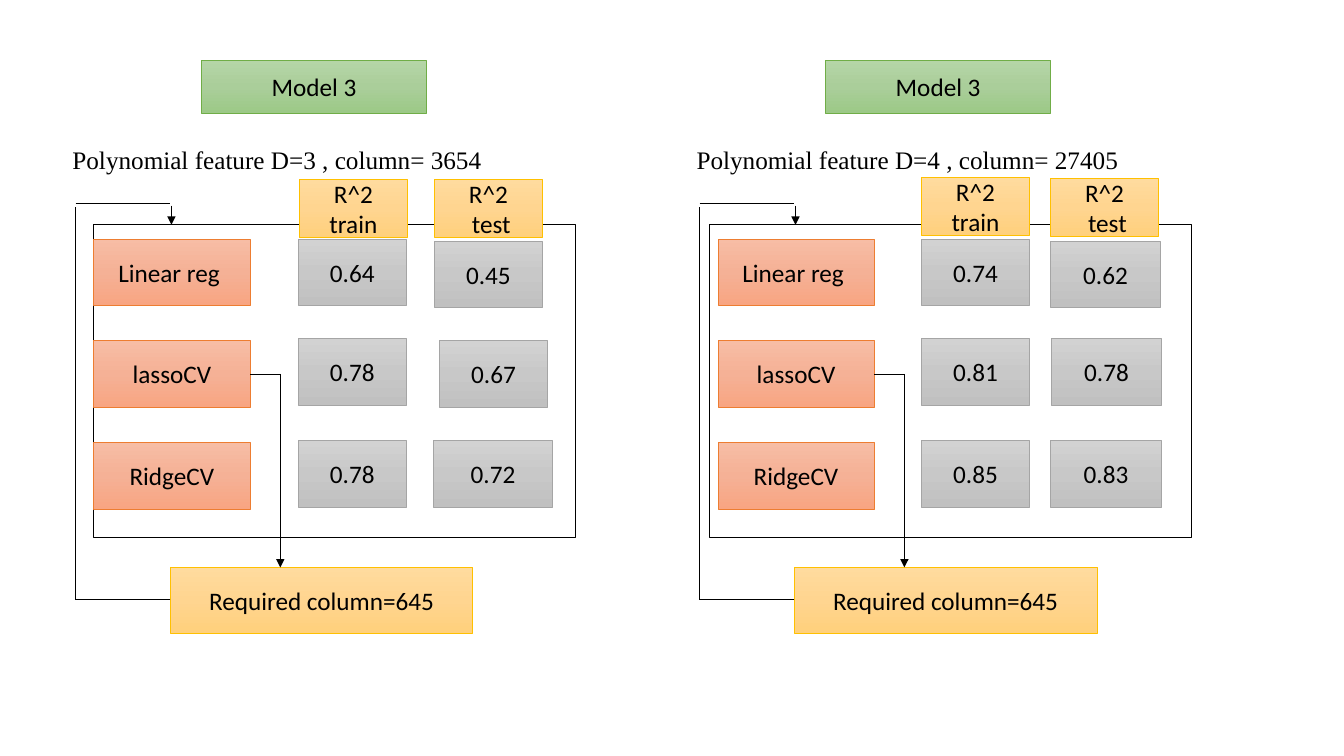
from copy import deepcopy
from dataclasses import dataclass

from lxml import etree
from pptx import Presentation
from pptx.dml.color import RGBColor
from pptx.enum.shapes import MSO_CONNECTOR, MSO_SHAPE
from pptx.enum.text import MSO_ANCHOR, MSO_AUTO_SIZE, PP_ALIGN
from pptx.oxml.ns import qn
from pptx.util import Inches, Pt

RECT = MSO_SHAPE.RECTANGLE
STRAIGHT = MSO_CONNECTOR.STRAIGHT
CENTER, LEFT = PP_ALIGN.CENTER, PP_ALIGN.LEFT
MIDDLE, TOP = MSO_ANCHOR.MIDDLE, MSO_ANCHOR.TOP
GROW = MSO_AUTO_SIZE.SHAPE_TO_FIT_TEXT

WIDE, HIGH = Inches(13.33), Inches(7.5)
COLS, ROWS = 133.3, 75
STEP = 61.9  # columns between the two panels


@dataclass(frozen=True)
class Theme:
    ink: str = "000000"
    # top, middle and bottom of the gradient, then the outline
    green: tuple = ("B5D5A7", "AACE9A", "9CC987", "70AD47")
    orange: tuple = ("F7BDA5", "F5B196", "F8A582", "ED7D31")
    gray: tuple = ("D2D2D2", "C8C8C8", "C0C0C0", "A5A5A5")
    gold: tuple = ("FFDB9E", "FFD590", "FFD07C", "FFC000")
    sans: str = "Calibri"
    serif: str = "Times New Roman"
    size: float = 18
    thin: float = 0.5
    edge: float = 0.75


class Board:
    """Draws on one slide; all places are in grid columns and rows."""

    def __init__(self, slide, theme):
        self.slide, self.theme = slide, theme
        self.shift = 0

    def place(self, x, y):
        return round((x + self.shift) * WIDE / COLS), round(y * HIGH / ROWS)

    def area(self, x, y, w, h):
        return *self.place(x, y), round(w * WIDE / COLS), round(h * HIGH / ROWS)

    def letter(self, frame, text, font, align, anchor):
        """Set the text of a frame and its style."""
        frame.text = text
        frame.vertical_anchor = anchor
        for para in frame.paragraphs:
            para.alignment = align
            for run in para.runs:
                run.font.name = font
                run.font.size = Pt(self.theme.size)
                run.font.color.rgb = RGBColor.from_string(self.theme.ink)

    def stroke(self, line, color, width):
        line.color.rgb = RGBColor.from_string(color)
        line.width = Pt(width)

    def blend(self, shape, tints):
        """Fill from top to bottom with three evenly spaced tints."""
        fill = shape.fill
        fill.gradient()
        fill.gradient_angle = 270
        stops = shape._element.spPr.find(qn("a:gradFill")).find(qn("a:gsLst"))
        stops.insert(1, deepcopy(stops[0]))
        for i, (stop, tint) in enumerate(zip(fill.gradient_stops, tints)):
            stop.color.rgb = RGBColor.from_string(tint)
            stop.position = i / 2

    def frame(self, *area):
        shape = self.slide.shapes.add_shape(RECT, *self.area(*area))
        shape.shadow.inherit = False
        shape.fill.background()
        self.stroke(shape.line, self.theme.ink, self.theme.edge)

    def box(self, text, hue, *area):
        shape = self.slide.shapes.add_shape(RECT, *self.area(*area))
        shape.shadow.inherit = False
        self.blend(shape, hue[:3])
        self.stroke(shape.line, hue[3], self.theme.thin)
        shape.text_frame.word_wrap = True
        self.letter(shape.text_frame, text, self.theme.sans, CENTER, MIDDLE)

    def label(self, text, *area):
        frame = self.slide.shapes.add_textbox(*self.area(*area)).text_frame
        frame.word_wrap = False
        frame.auto_size = GROW
        self.letter(frame, text, self.theme.serif, LEFT, TOP)

    def line(self, start, end, arrow=False):
        link = self.slide.shapes.add_connector(
            STRAIGHT, *self.place(*start), *self.place(*end))
        self.stroke(link.line, self.theme.ink, self.theme.thin)
        props = link._element.spPr
        if arrow:
            tail = etree.SubElement(props.find(qn("a:ln")), qn("a:tailEnd"))
            tail.set("type", "triangle")
        etree.SubElement(props, qn("a:effectLst"))


MODELS = ("Linear reg ", "lassoCV", "RidgeCV")
TRAIN_ROWS = (23.7, 33.6, 43.7)
LINKS = (  # start, end, arrow
    ((16.9, 59.5), (7.5, 59.5), False),
    ((7.5, 59.5), (7.5, 20.5), False),
    ((7.5, 20.2), (16.9, 20.2), False),
    ((17, 20.4), (17, 22.3), True),
    ((24.8, 37.1), (27.8, 37.1), False),
    ((27.8, 37.1), (27.8, 56.3), True),
)
PANELS = (
    dict(title="Polynomial feature D=3 , column= 3654", span=43.6,
         frame=9.3, col=29.6, train=("0.64", "0.78", "0.78"),
         test=(("0.45", 43.1, 23.9, 10.7), ("0.67", 43.6, 33.8, 10.7),
               ("0.72", 43, 43.7, 11.8)),
         heads=((29.7, 17.8), (43.1, 17.8))),
    dict(title="Polynomial feature D=4 , column= 27405", span=44.9,
         frame=8.5, col=29.5, train=("0.74", "0.81", "0.85"),
         test=(("0.62", 42.3, 23.9, 10.9), ("0.78", 42.4, 33.6, 10.9),
               ("0.83", 42.3, 43.7, 11)),
         heads=((29.5, 17.6), (42.3, 17.7))),
)


def panel(board, data):
    theme = board.theme
    board.frame(data["frame"], 22.3, 47.8, 31)
    for i, name in enumerate(MODELS):
        board.box(name, theme.orange, 9.3, 23.7 + 10.1 * i, 15.5, 6.6)
    for score, y in zip(data["train"], TRAIN_ROWS):
        board.box(score, theme.gray, data["col"], y, 10.7, 6.6)
    for score, x, y, w in data["test"]:
        board.box(score, theme.gray, x, y, w, 6.6)
    board.box("Model 3", theme.green, 20, 6, 22.3, 5.2)
    board.label(data["title"], 6.2, 13.8, data["span"], 4)
    board.box("Required column=645", theme.gold, 16.9, 56.3, 30, 6.5)
    for link in LINKS:
        board.line(*link)
    for text, spot in zip(("R^2 train", "R^2\n test"), data["heads"]):
        board.box(text, theme.gold, *spot, 10.7, 5.8)


def main():
    deck = Presentation()
    deck.slide_width, deck.slide_height = WIDE, HIGH
    board = Board(deck.slides.add_slide(deck.slide_layouts[6]), Theme())
    for i, data in enumerate(PANELS):
        board.shift = i * STEP
        panel(board, data)
    deck.save("out.pptx")


if __name__ == "__main__":
    main()
